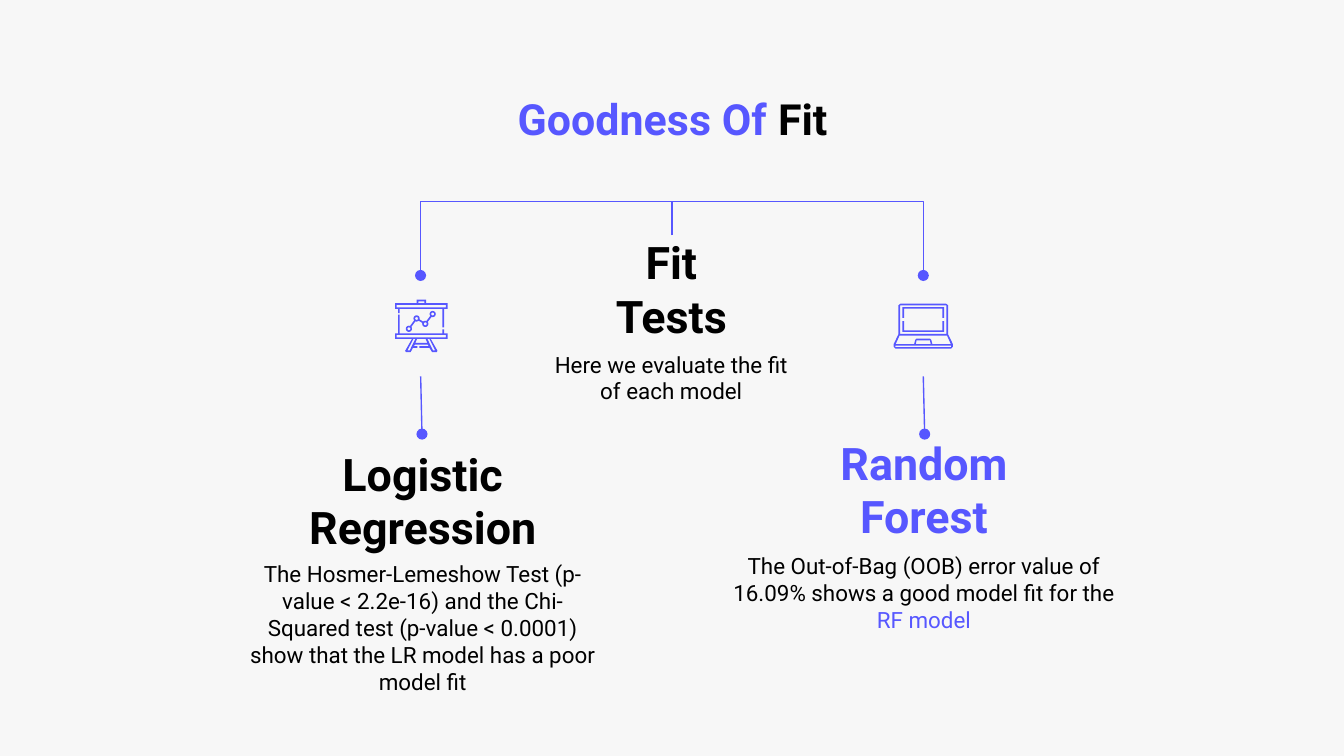
from math import cos, hypot, pi, sin

from lxml.etree import SubElement
from pptx import Presentation
from pptx.dml.color import RGBColor
from pptx.enum.shapes import MSO_CONNECTOR
from pptx.enum.text import MSO_ANCHOR, PP_ALIGN
from pptx.oxml.ns import qn
from pptx.util import Inches, Pt

VIOLET = RGBColor(0x57, 0x57, 0xFF)
BLACK = RGBColor(0x00, 0x00, 0x00)
PAPER = RGBColor(0xF7, 0xF7, 0xF7)


def add_text(slide, box, paragraphs, size, bold=False, anchor=MSO_ANCHOR.TOP):
    """Place centred paragraphs, each a list of (wording, colour) runs."""
    frame = slide.shapes.add_textbox(*map(Inches, box)).text_frame
    frame.word_wrap = True
    frame.vertical_anchor = anchor
    frame.margin_left = frame.margin_right = Inches(0.1)
    frame.margin_top = frame.margin_bottom = Inches(0.1)
    for index, runs in enumerate(paragraphs):
        paragraph = frame.add_paragraph() if index else frame.paragraphs[0]
        paragraph.alignment = PP_ALIGN.CENTER
        for wording, colour in runs:
            run = paragraph.add_run()
            run.text = wording
            run.font.name = "Roboto"
            run.font.size = Pt(size)
            run.font.bold = bold
            run.font.color.rgb = colour


def add_topic(slide, box, body_offset, heading_height, heading, body):
    """Place a bottom-anchored heading above its explanation within a box."""
    left, top, width, height = box
    add_text(slide, (left, top, width, heading_height), heading, 24, True, MSO_ANCHOR.BOTTOM)
    add_text(slide, (left, top + body_offset, width, height - body_offset), [body], 12)


def add_dotted_line(slide, kind, start, end):
    """Draw a thin violet connector that ends in a dot."""
    connector = slide.shapes.add_connector(kind, *map(Inches, (*start, *end)))
    connector.line.color.rgb = VIOLET
    connector.line.width = Pt(0.75)
    SubElement(connector.line._get_or_add_ln(), qn("a:tailEnd"), type="oval")
    SubElement(connector._element.spPr, qn("a:effectLst"))
    return connector


def add_branch(slide, start, end):
    """Draw an elbow that rises from start, runs across and drops to end."""
    middle_x, middle_y = (start[0] + end[0]) / 2, (start[1] + end[1]) / 2
    half_run, half_drop = (end[0] - start[0]) / 2, (end[1] - start[1]) / 2
    connector = add_dotted_line(
        slide,
        MSO_CONNECTOR.ELBOW,
        (middle_x + half_drop, middle_y - half_run),
        (middle_x - half_drop, middle_y + half_run),
    )
    properties = connector._element.spPr
    properties.find(qn("a:xfrm")).set("rot", "16200000")
    adjustments = properties.find(qn("a:prstGeom")).find(qn("a:avLst"))
    SubElement(adjustments, qn("a:gd"), name="adj1", fmla="val -83000")


def rectangle(left, top, right, bottom):
    """Return the corners of a rectangle."""
    return [(left, top), (right, top), (right, bottom), (left, bottom)]


def circle(centre, radius, steps=24):
    """Return points around a circle."""
    angles = [2 * pi * step / steps for step in range(steps)]
    return [(centre[0] + radius * cos(a), centre[1] + radius * sin(a)) for a in angles]


def link(start, end, gap, half_width=0.6):
    """Return a thin bar between two nodes, clear of both by the gap."""
    length = hypot(end[0] - start[0], end[1] - start[1])
    x, y = (end[0] - start[0]) / length, (end[1] - start[1]) / length
    across = (-y * half_width, x * half_width)
    near = (start[0] + x * gap, start[1] + y * gap)
    far = (end[0] - x * gap, end[1] - y * gap)
    return [
        (point[0] + side * across[0], point[1] + side * across[1])
        for point, side in ((near, 1), (far, 1), (far, -1), (near, -1))
    ]


def mirror(points, width):
    """Return the points flipped left to right within a width."""
    return [(width - x, y) for x, y in points]


def add_outline(slide, origin, contours):
    """Fill contours given in hundredths of an inch, inner ones being holes."""
    builder = slide.shapes.build_freeform(
        *(100 * value for value in contours[0][0]), scale=Inches(0.01) / 100
    )
    for index, contour in enumerate(contours):
        points = [(100 * x, 100 * y) for x, y in contour]
        if index:
            builder.move_to(*points[0])
        builder.add_line_segments(points[1:], close=True)
    outline = builder.convert_to_shape(*map(Inches, origin))
    outline.shadow.inherit = False
    outline.fill.solid()
    outline.fill.fore_color.rgb = VIOLET
    outline.line.fill.background()


def add_laptop(slide, origin):
    """Draw the laptop icon from its top left corner."""
    case_half = [(5, 0), (3.5, 1.2), (3.5, 22.8), (0, 30), (0, 32), (1.3, 33.5)]
    keys_half = [(4.3, 23.8), (1.5, 30), (15.2, 30), (16, 27), (17, 26)]
    case = case_half + mirror(case_half, 44)[::-1]
    keyboard = keys_half + mirror(keys_half, 44)[::-1]
    touchpad = [(16.5, 30), (17, 27.3), (27, 27.3), (27.5, 30)]
    screen = rectangle(4.8, 1.3, 39.2, 22.5)
    add_outline(slide, origin, [case, screen, keyboard, touchpad, rectangle(1.3, 31.2, 42.7, 32.3)])
    bracket_half = [(7.7, 19.8), (7.7, 13), (6.5, 13), (6.5, 21)]
    lower_bracket = bracket_half + mirror(bracket_half, 44)[::-1]
    add_outline(slide, origin, [lower_bracket])
    add_outline(slide, origin, [[(x, 23.5 - y) for x, y in lower_bracket]])


def add_easel(slide, origin):
    """Draw the chart easel icon from its top left corner."""
    rail = [
        (16, 0), (23, 0), (23, 2.6), (39, 2.6), (39, 6.9), (36.4, 6.9), (36.4, 20.5),
        (35.2, 20.5), (35.2, 6.9), (3.4, 6.9), (3.4, 10), (2.2, 10), (2.2, 6.9),
        (0, 6.9), (0, 2.6), (16, 2.6),
    ]
    add_outline(slide, origin, [rail, rectangle(17.2, 1.2, 21.8, 2.6), rectangle(1.2, 3.8, 37.8, 5.7)])
    stand = [
        (2.2, 11), (3.4, 11), (3.4, 25), (35.2, 25), (35.2, 22), (36.4, 22), (36.4, 25),
        (39, 25), (39, 29.2), (26.5, 29.2), (31.5, 38), (31, 39), (27.5, 39), (25.5, 35.8),
        (18, 35.8), (18, 34.6), (25, 34.6), (24.3, 33.4), (14.7, 33.4), (14, 34.6),
        (16.5, 34.6), (16.5, 35.8), (13.3, 35.8), (11.5, 39), (8, 39), (7.5, 38),
        (12.5, 29.2), (0, 29.2), (0, 25), (2.2, 25),
    ]
    leg = [(13.5, 29.2), (15, 29.2), (10.8, 37.8), (9.2, 37.8)]
    brace = [(16.3, 29.2), (22.7, 29.2), (24, 32.2), (15, 32.2)]
    add_outline(slide, origin, [stand, rectangle(1.2, 26.2, 37.8, 28), brace, leg, mirror(leg, 39)])
    nodes = [(10.3, 21.7), (16, 14), (22.5, 18), (28, 10.7)]
    rings = [circle(node, radius) for node in nodes for radius in (2.3, 1.1)]
    links = [link(start, end, 2.2) for start, end in zip(nodes, nodes[1:])]
    add_outline(slide, origin, rings + links)


def build_slide(presentation):
    """Build the goodness of fit slide."""
    slide = presentation.slides.add_slide(presentation.slide_layouts[6])
    slide.background.fill.solid()
    slide.background.fill.fore_color.rgb = PAPER
    add_text(slide, (0.79, 0.59, 8.43, 0.63), [[("Goodness Of ", VIOLET), ("Fit", BLACK)]], 23, True)
    add_topic(
        slide, (4.02, 1.75, 1.95, 1.73), 0.76, 0.9,
        [[("Fit", BLACK)], [("Tests", BLACK)]],
        [("Here we evaluate the fit of each model", BLACK)],
    )
    add_topic(
        slide, (1.7, 3.23, 2.89, 2.59), 0.84, 0.99,
        [[("Logistic Regression", BLACK)]],
        [("The Hosmer-Lemeshow Test (p-value < 2.2e-16) and the Chi-Squared test "
          "(p-value < 0.0001) show that the LR model has a poor model fit", BLACK)],
    )
    add_topic(
        slide, (5.33, 3.23, 3.09, 2.4), 0.78, 0.91,
        [[("Random", VIOLET)], [("Forest", VIOLET)]],
        [("The Out-of-Bag (OOB) error value of 16.09% shows a good model fit for the ", BLACK),
         ("RF model", VIOLET)],
    )
    for branch_x in (3.13, 6.87):
        add_branch(slide, (5, 1.75), (branch_x, 2.05))
        add_dotted_line(slide, MSO_CONNECTOR.STRAIGHT, (branch_x, 2.8), (branch_x + 0.01, 3.23))
    add_laptop(slide, (6.65, 2.26))
    add_easel(slide, (2.94, 2.23))


def main():
    """Create and save the presentation."""
    presentation = Presentation()
    presentation.slide_width = Inches(10)
    presentation.slide_height = presentation.slide_width * 9 // 16
    build_slide(presentation)
    presentation.save("out.pptx")


if __name__ == "__main__":
    main()
